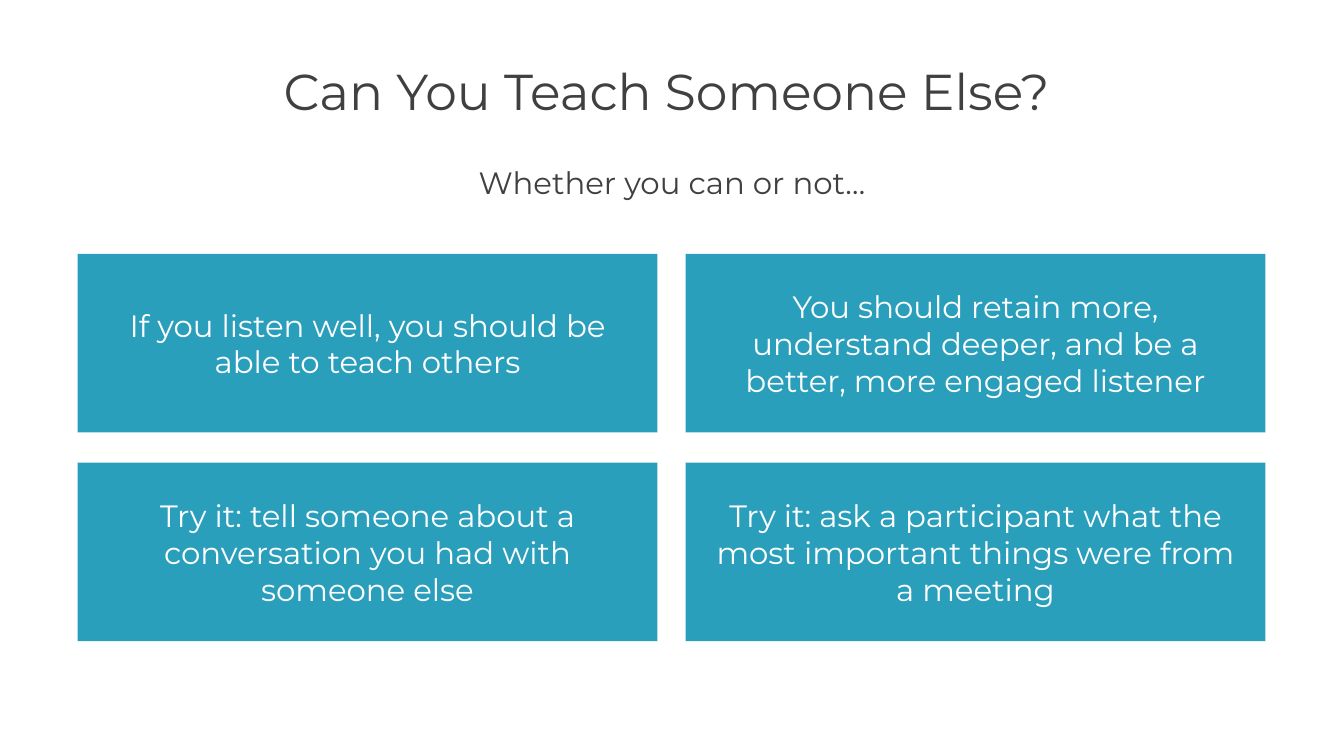
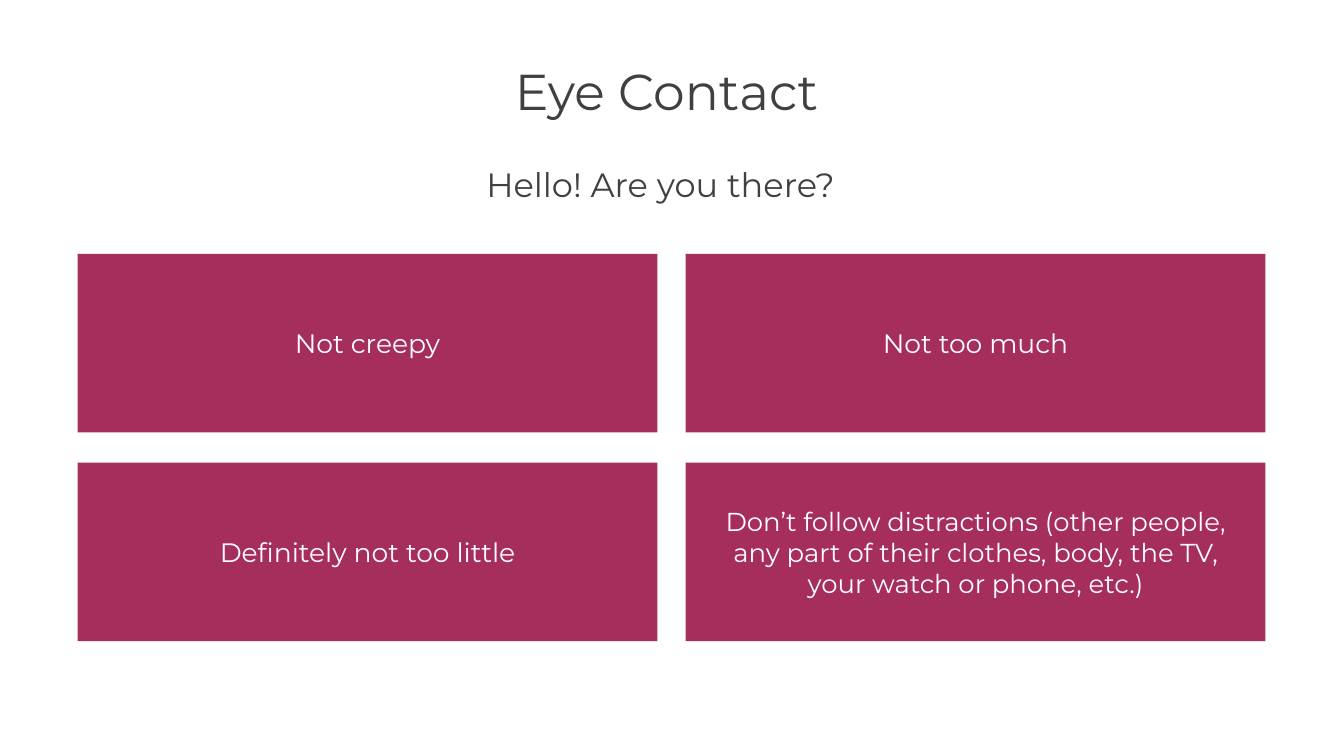
"""Build two listening-skills slides, each with a title, a lead line and a two by two grid."""
from pptx import Presentation
from pptx.dml.color import RGBColor
from pptx.enum.shapes import MSO_SHAPE
from pptx.enum.text import MSO_ANCHOR, PP_ALIGN
from pptx.util import Inches, Pt

RECTANGLE = MSO_SHAPE.RECTANGLE
TOP, MIDDLE = MSO_ANCHOR.TOP, MSO_ANCHOR.MIDDLE
CENTER = PP_ALIGN.CENTER
FONT, INK, WHITE = "Montserrat", "404040", "FFFFFF"

SLIDE_WIDTH, SLIDE_HEIGHT = 13.33, 7.5
GRID_LEFT, GRID_TOP = 0.77, 2.52
CELL_WIDTH, CELL_HEIGHT = 5.75, 1.77
COLUMN_GAP, ROW_GAP = 0.28, 0.3
COLUMNS = 2
GRID_WIDTH = COLUMNS * CELL_WIDTH + (COLUMNS - 1) * COLUMN_GAP
TITLE_TOP, TITLE_HEIGHT = 0.64, 0.48
LEAD_TOP, LEAD_LEFT = 1.58, 4.6

SLIDES = [
    {
        "title": "Can You Teach Someone Else?",
        "lead": ("Whether you can or not…", 22, 4.13, 0.47),
        "fill": "2A9FBC",
        "cells": [
            ("If you listen well, you should be able to teach others", 22),
            ("You should retain more, understand deeper, and be a better, more engaged listener", 22),
            ("Try it: tell someone about a conversation you had with someone else", 22),
            ("Try it: ask a participant what the most important things were from a meeting", 22),
        ],
    },
    {
        "title": "Eye Contact",
        "lead": ("Hello! Are you there?", 24, 3.9, 0.5),
        "fill": "A62E5C",
        "cells": [
            ("Not creepy", 19),
            ("Not too much", 19),
            ("Definitely not too little", 19),
            ("Don’t follow distractions (other people, any part of their clothes, body, the TV, "
             "your watch or phone, etc.)", 18.5),
        ],
    },
]


def color(value):
    return RGBColor.from_string(value)


def write(box, text, size, ink=INK, anchor=TOP, wrap=True, spacing=1.0, insets=(0.1, 0.05, 0.1, 0.05)):
    frame = box.text_frame
    frame.word_wrap = wrap
    frame.vertical_anchor = anchor
    frame.margin_left, frame.margin_top, frame.margin_right, frame.margin_bottom = map(Inches, insets)
    para = frame.paragraphs[0]
    para.alignment = CENTER
    para.line_spacing = spacing
    span = para.add_run()
    span.text = text
    span.font.name = FONT
    span.font.size = Pt(size)
    span.font.color.rgb = color(ink)


deck = Presentation()
deck.slide_width, deck.slide_height = Inches(SLIDE_WIDTH), Inches(SLIDE_HEIGHT)
blank = deck.slide_layouts[6]

for content in SLIDES:
    page = deck.slides.add_slide(blank)

    title = page.shapes.add_textbox(*map(Inches, (GRID_LEFT, TITLE_TOP, GRID_WIDTH, TITLE_HEIGHT)))
    write(title, content["title"], 36, spacing=0.85, insets=(0, 0.05, 0.1, 0.05))

    lead_text, lead_size, lead_width, lead_height = content["lead"]
    lead = page.shapes.add_textbox(*map(Inches, (LEAD_LEFT, LEAD_TOP, lead_width, lead_height)))
    write(lead, lead_text, lead_size, wrap=False)

    for index, (text, size) in enumerate(content["cells"]):
        row, column = divmod(index, COLUMNS)
        left = GRID_LEFT + column * (CELL_WIDTH + COLUMN_GAP)
        top = GRID_TOP + row * (CELL_HEIGHT + ROW_GAP)
        cell = page.shapes.add_shape(RECTANGLE, *map(Inches, (left, top, CELL_WIDTH, CELL_HEIGHT)))
        cell.shadow.inherit = False
        cell.fill.solid()
        cell.fill.fore_color.rgb = color(content["fill"])
        cell.line.fill.background()
        write(cell, text, size, ink=WHITE, anchor=MIDDLE, insets=(0.3, 0.3, 0.3, 0.3))

deck.save("out.pptx")
